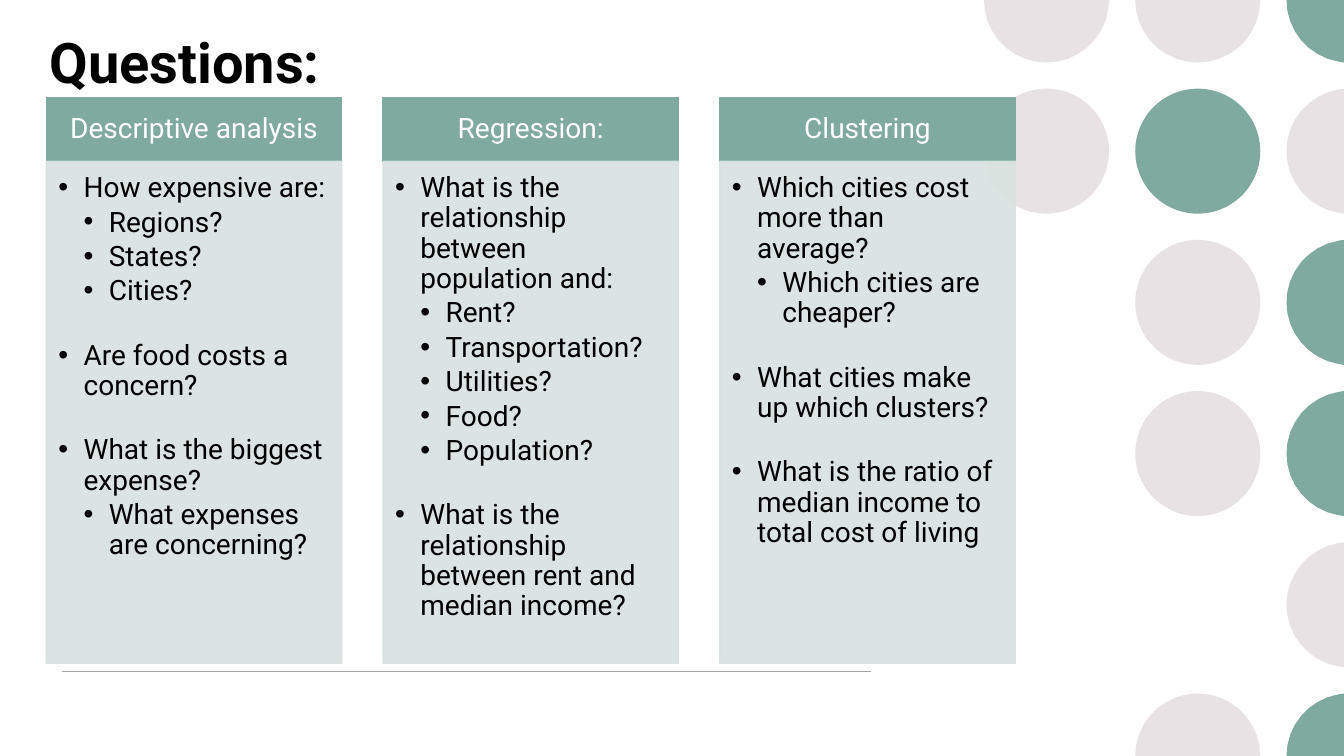
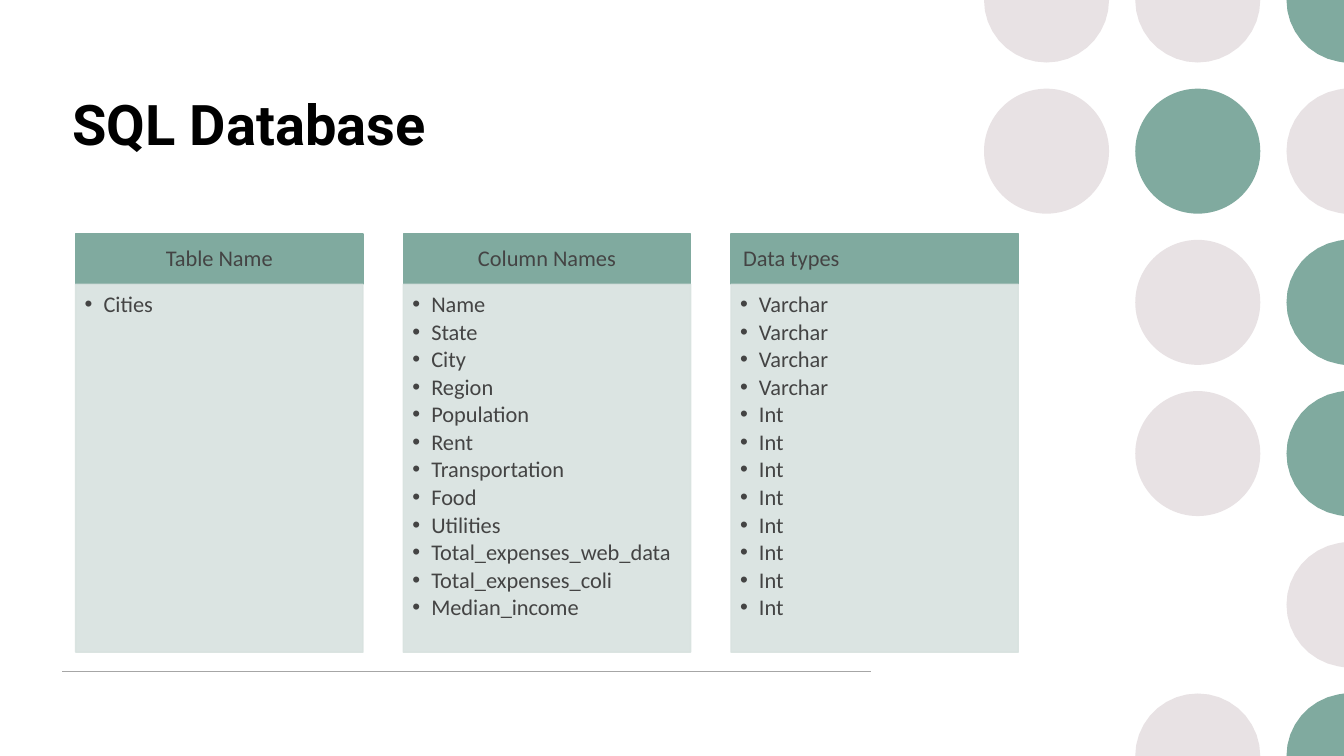
from math import cos, radians, sin

from lxml.etree import SubElement as Sub
from pptx import Presentation
from pptx.dml.color import RGBColor as RGB
from pptx.enum.shapes import MSO_CONNECTOR as Conn, MSO_SHAPE as Shape
from pptx.enum.text import MSO_ANCHOR as Anchor, MSO_AUTO_SIZE as Fit, PP_ALIGN as Align
from pptx.oxml.ns import qn
from pptx.util import Inches, Pt

WIDE, HIGH = 13.33, 7.5
COLORS = {
    "green": "80AA9F", "pink": "E8E2E4", "pale": "D8E2DF", "rule": "A6A6A6",
    "black": "000000", "white": "FFFFFF", "gray": "444444",
}
# One string per row of dots, one letter per column
DOTS = ["ppg", "pgp", " pg", " pg", "  p", " pg"]
DOT_X, DOT_STEP, RADIUS = 10.38, 1.5, 0.62


def paint(fmt, color):
    fmt.solid()
    fmt.fore_color.rgb = RGB.from_string(COLORS[color])


def fade(shape, percent):
    """Make the fill and the line of a shape partly opaque."""
    for node in list(shape._element.spPr.iter(qn("a:srgbClr"))):
        Sub(node, qn("a:alpha"), val=str(percent * 1000))


class Deck:
    def __init__(self):
        self.prs = Presentation()
        self.prs.slide_width = Inches(WIDE)
        self.prs.slide_height = Inches(HIGH)

    def start(self, title, left, top, font, head, ink, size, scale, gap):
        """Add a slide with its title, and set the style of its cards."""
        self.slide = self.prs.slides.add_slide(self.prs.slide_layouts[5])
        self.shapes = self.slide.shapes
        self.font, self.head, self.ink = font, head, ink
        self.size, self.scale, self.gap = size, scale, gap
        self.dots()
        self.rule()
        self.title(title, left, top)

    def run(self, par, text, font, size, color, bold=False):
        run = par.add_run()
        run.text = text
        run.font.name, run.font.size, run.font.bold = font, Pt(size), bold
        run.font.color.rgb = RGB.from_string(COLORS[color])

    def title(self, text, left, top):
        box = self.shapes.title
        box.left, box.top = Inches(left), Inches(top)
        box.width, box.height = Inches(8.02), Inches(1.39)
        frame = box.text_frame
        frame.auto_size, frame.vertical_anchor = Fit.NONE, Anchor.TOP
        par = frame.paragraphs[0]
        par.alignment = Align.LEFT
        self.run(par, text, "Roboto", 40, "black", True)

    def dots(self):
        for row, marks in enumerate(DOTS):
            for col, mark in enumerate(marks):
                if mark != " ":
                    color = "green" if mark == "g" else "pink"
                    self.dot(DOT_X + col * DOT_STEP, row * DOT_STEP, color)

    def dot(self, x, y, color):
        """Draw a circle around x, y, cut off at the slide edges."""
        first, last = 0, 360
        if x + RADIUS > WIDE:
            first, last = 90, 270
        if y < RADIUS:
            last = min(last, 180)
        elif y + RADIUS > HIGH:
            first = max(first, 180)

        if last - first == 360:
            dot = self.shapes.add_shape(
                Shape.OVAL, Inches(x - RADIUS), Inches(y - RADIUS),
                Inches(2 * RADIUS), Inches(2 * RADIUS))
        else:
            turns = [radians(t) for t in range(first, last + 1, 10)]
            arc = [(x + RADIUS * cos(t), y + RADIUS * sin(t)) for t in turns]
            points = [(Inches(min(px, WIDE)), Inches(py))
                      for px, py in [(x, y)] + arc]
            outline = self.shapes.build_freeform(*points[0])
            outline.add_line_segments(points[1:])
            dot = outline.convert_to_shape()
        dot.shadow.inherit = False
        paint(dot.fill, color)
        dot.line.fill.background()

    def rule(self):
        y = Inches(6.66)
        line = self.shapes.add_connector(
            Conn.STRAIGHT, Inches(0.62), y, Inches(8.64), y)
        paint(line.line.fill, "rule")
        line.line.width = Pt(1)
        Sub(line._element.spPr, qn("a:effectLst"))

    def panel(self, x, y, wide, high, color, pads, anchor):
        """Add a filled rectangle and return it."""
        box = self.shapes.add_shape(
            Shape.RECTANGLE, Inches(x), Inches(y), Inches(wide), Inches(high))
        box.shadow.inherit = False
        paint(box.fill, color)
        paint(box.line.fill, color)
        box.line.width = Pt(1)
        frame = box.text_frame
        frame.word_wrap, frame.vertical_anchor = True, anchor
        (frame.margin_left, frame.margin_top, frame.margin_right,
         frame.margin_bottom) = [Inches(pad * self.scale) for pad in pads]
        return box

    def item(self, par, text, level, after):
        par.alignment, par.level = Align.LEFT, level
        par.line_spacing, par.space_after = 0.9, Pt(self.size * after)
        props = par._p.get_or_add_pPr()
        indent = Inches(0.25 * self.scale)
        props.set("marL", str(indent * (level + 1)))
        props.set("indent", str(-indent))
        Sub(props, qn("a:buFont"), typeface="Arial")
        Sub(props, qn("a:buChar"), char="•")
        self.run(par, text, self.font, self.size, self.ink)

    def card(self, x, y, wide, top, high, name, groups, align=Align.CENTER):
        """Add a header and a list; the first item of a group leads the rest."""
        head = self.panel(x, y, wide, top, "green",
                          (0.16, 0.09, 0.16, 0.09), Anchor.MIDDLE)
        par = head.text_frame.paragraphs[0]
        par.alignment, par.line_spacing = align, 0.9
        self.run(par, name, self.font, self.size, self.head)

        body = self.panel(x, y + top, wide, high, "pale",
                          (0.12, 0.12, 0.16, 0.17), Anchor.TOP)
        fade(body, 90)
        frame = body.text_frame
        par = frame.paragraphs[0]
        for group in groups:
            for i, text in enumerate(group):
                if par is None:
                    par = frame.add_paragraph()
                last = i == len(group) - 1
                self.item(par, text, min(i, 1), self.gap if last else 0.15)
                par = None


def ask(deck):
    deck.start("Questions:", 0.39, 0.22, font="Roboto", head="white",
               ink="black", size=20, scale=1, gap=1.22)
    cards = [
        ("Descriptive analysis", [
            ["How expensive are:", "Regions?", "States?", "Cities?"],
            ["Are food costs a concern?"],
            ["What is the biggest expense?", "What expenses are concerning?"],
        ]),
        ("Regression:", [
            ["What is the relationship between population and:", "Rent?",
             "Transportation?", "Utilities?", "Food?", "Population?"],
            ["What is the relationship between rent and median income?"],
        ]),
        ("Clustering", [
            ["Which cities cost more than average?",
             "Which cities are cheaper?"],
            ["What cities make up which clusters?"],
            ["What is the ratio of median income to total cost of living"],
        ]),
    ]
    for i, (name, groups) in enumerate(cards):
        deck.card(0.46 + 3.34 * i, 0.97, 2.93, 0.63, 4.98, name, groups)


def store(deck):
    deck.start("SQL Database", 0.62, 0.84, font="Calibri", head="gray",
               ink="gray", size=16, scale=0.75, gap=0.15)
    fields = ["Name", "State", "City", "Region", "Population", "Rent",
              "Transportation", "Food", "Utilities", "Total_expenses_web_data",
              "Total_expenses_coli", "Median_income"]
    cards = [
        ("Table Name", ["Cities"], Align.CENTER),
        ("Column Names", fields, Align.CENTER),
        ("Data types", ["Varchar"] * 4 + ["Int"] * 8, Align.LEFT),
    ]
    for i, (name, items, align) in enumerate(cards):
        deck.card(0.75 + 3.25 * i, 2.32, 2.85, 0.5, 3.65, name,
                  [[item] for item in items], align)


def main():
    deck = Deck()
    ask(deck)
    store(deck)
    deck.prs.save("out.pptx")


if __name__ == "__main__":
    main()
